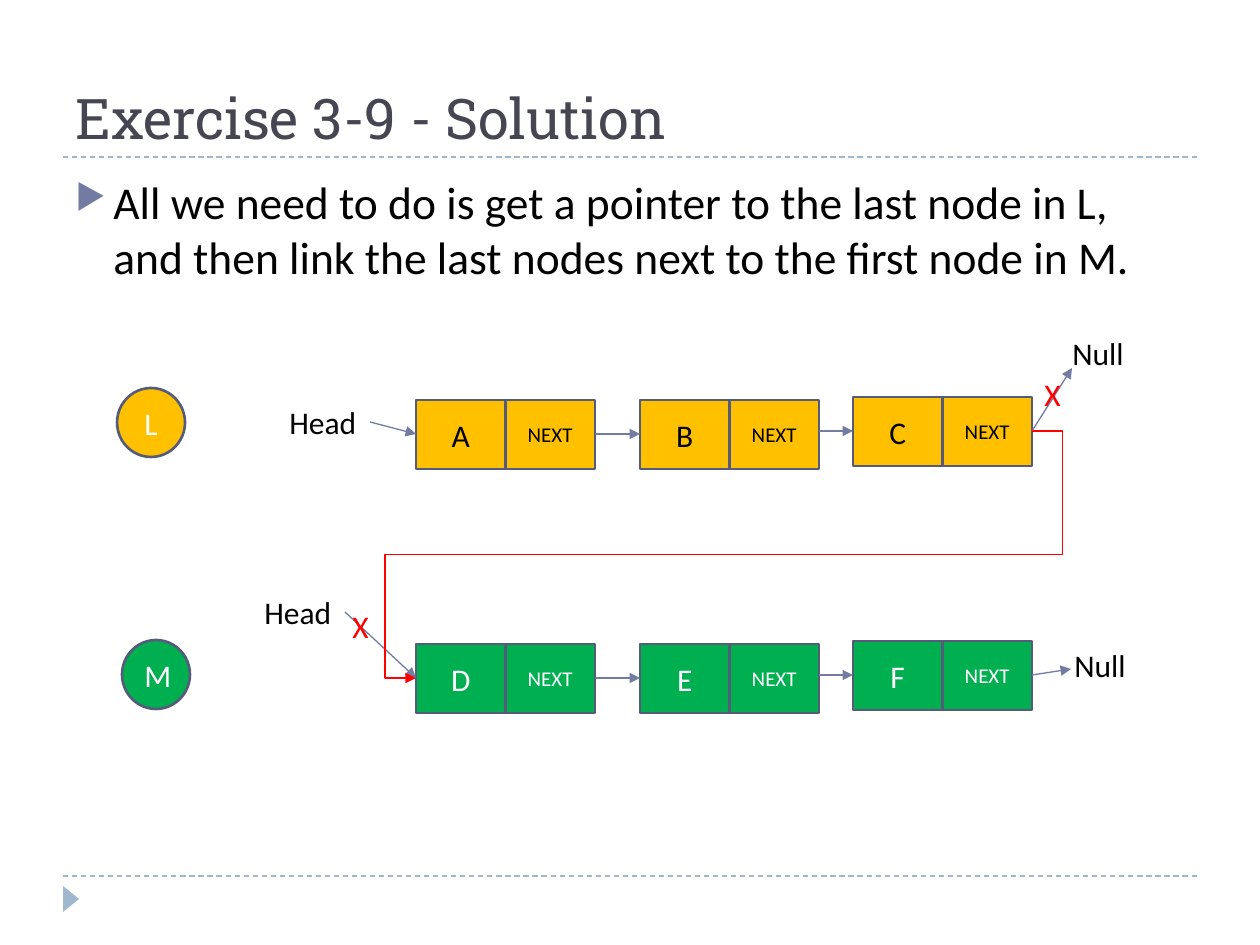
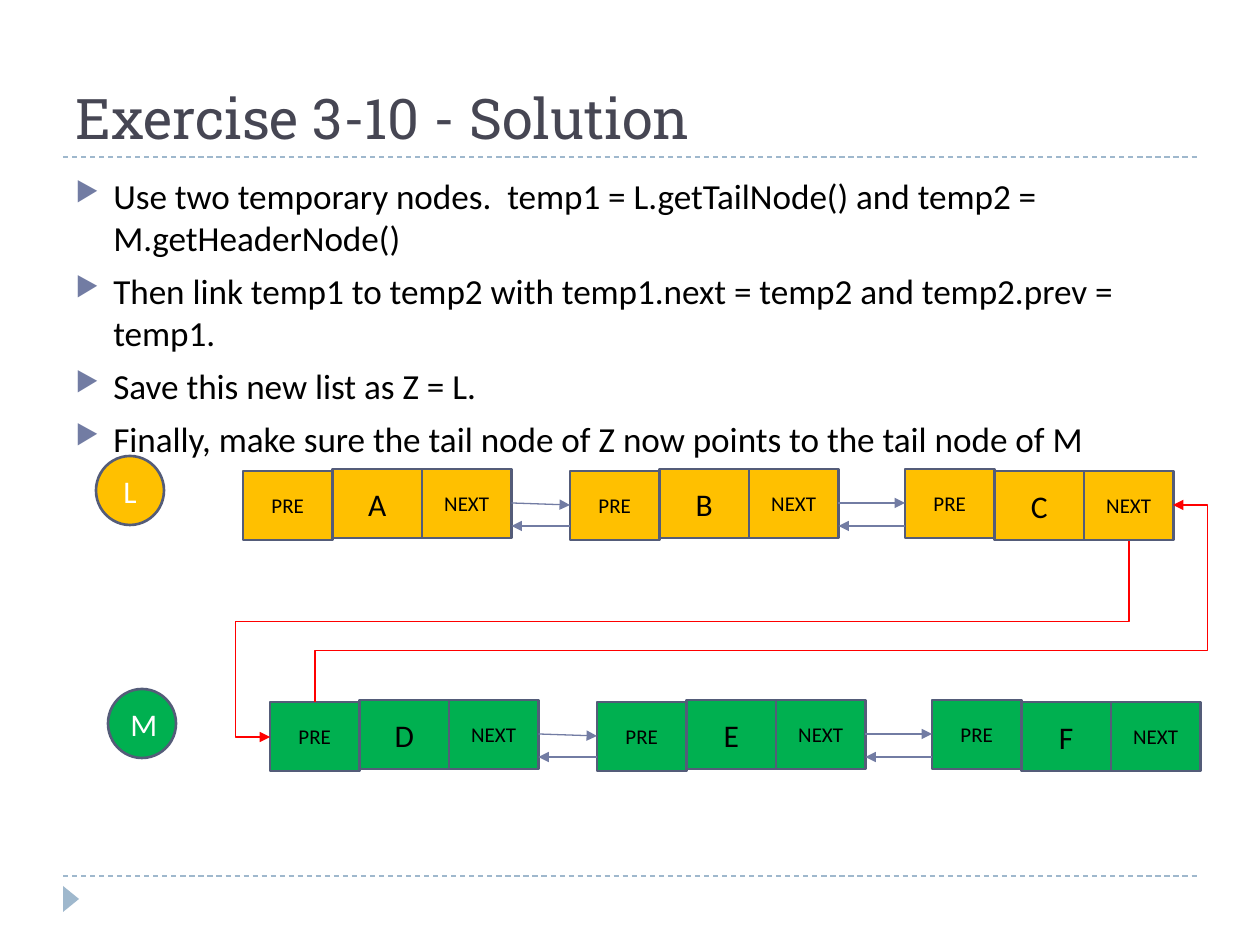
import pptx
import pptx.dml.color
import pptx.enum.dml
import pptx.enum.shapes
import pptx.enum.text
import pptx.oxml
import pptx.oxml.ns
import pptx.util

RGB = pptx.dml.color.RGBColor
SHAPE = pptx.enum.shapes.MSO_SHAPE
CONNECTOR = pptx.enum.shapes.MSO_CONNECTOR
ANCHOR = pptx.enum.text.MSO_ANCHOR
ALIGN = pptx.enum.text.PP_ALIGN

BLACK = RGB(0x00, 0x00, 0x00)
WHITE = RGB(0xFF, 0xFF, 0xFF)
TITLE_INK = RGB(0x46, 0x46, 0x53)
PALE_BLUE = RGB(0x9F, 0xB8, 0xCD)
ARROW_BLUE = RGB(0x72, 0x7C, 0xA3)
OUTLINE = RGB(0x54, 0x5C, 0x79)
AMBER = RGB(0xFF, 0xC0, 0x00)
GREEN = RGB(0x00, 0xB0, 0x50)
RED = RGB(0xFF, 0x00, 0x00)

BODY_FONT = "Calibri"
TITLE_FONT = "Roboto Slab"
SCALE = 914400 / 126
CELL_WIDTH, CELL_HEIGHT = 89.5, 69
MIDDLE = 34
BACK_LINK = 57


def px(length):
    return pptx.util.Emu(round(length * SCALE))


def write_text(shape, *lines, size=18, font=BODY_FONT, color=BLACK, align=ALIGN.LEFT,
               anchor=ANCHOR.TOP, wrap=True, bullet=False):
    frame = shape.text_frame
    frame.word_wrap = wrap
    frame.vertical_anchor = anchor
    for index, line in enumerate(lines):
        para = frame.paragraphs[0] if index == 0 else frame.add_paragraph()
        para.alignment = align
        span = para.add_run()
        span.text = line
        span.font.size = pptx.util.Pt(size)
        span.font.name = font
        span.font.color.rgb = color
        if bullet:
            add_bullet(para)


def add_bullet(para):
    para.space_before = pptx.util.Pt(6)
    properties = para._p.get_or_add_pPr()
    properties.set("marL", str(px(38)))
    properties.set("indent", str(px(-38)))
    namespace = pptx.oxml.ns.nsdecls("a")
    for markup in (f'<a:buClr {namespace}><a:srgbClr val="{ARROW_BLUE}"/></a:buClr>',
                   f'<a:buSzPct {namespace} val="76000"/>',
                   f'<a:buChar {namespace} char="▶"/>'):
        properties.append(pptx.oxml.parse_xml(markup))


def add_text(page, box, *lines, **text_format):
    shape = page.shapes.add_textbox(*map(px, box))
    write_text(shape, *lines, **text_format)


def add_label(page, left, top, width, text, color=BLACK):
    add_text(page, (left, top, width, 50), text, color=color, wrap=False)


def add_filled(page, kind, box, fill):
    shape = page.shapes.add_shape(kind, *map(px, box))
    shape.shadow.inherit = False
    shape.fill.solid()
    shape.fill.fore_color.rgb = fill
    shape.line.fill.background()
    return shape


def add_block(page, kind, box, text, fill, **text_format):
    shape = add_filled(page, kind, box, fill)
    shape.line.color.rgb = OUTLINE
    shape.line.width = pptx.util.Pt(1.5)
    write_text(shape, text, align=ALIGN.CENTER, anchor=ANCHOR.MIDDLE, **text_format)


def add_badge(page, left, top, text, fill):
    add_block(page, SHAPE.OVAL, (left, top, 68, 69), text, fill, color=WHITE)


def add_line(page, start, end, color, kind=CONNECTOR.STRAIGHT, arrow=True):
    line = page.shapes.add_connector(kind, *map(px, start + end))
    line.line.color.rgb = color
    line.line.width = pptx.util.Pt(0.75)
    properties = line.element.spPr
    if arrow:
        head = pptx.oxml.ns.qn("a:tailEnd")
        outline = line.line._get_or_add_ln()
        outline.append(outline.makeelement(head, {"type": "triangle"}))
    effects = pptx.oxml.ns.qn("a:effectLst")
    properties.append(properties.makeelement(effects, {}))
    return line


def add_elbow(page, start, end, bends, upright=False):
    """Red bent arrow; bends are the preset's adjust values, upright leaves vertically."""
    if upright:
        across, down = end[0] - start[0], end[1] - start[1]
        middle_x, middle_y = (start[0] + end[0]) / 2, (start[1] + end[1]) / 2
        start = (middle_x - down / 2, middle_y + across / 2)
        end = (middle_x + down / 2, middle_y - across / 2)
    line = add_line(page, start, end, RED, CONNECTOR.ELBOW)
    properties = line.element.spPr
    if upright:
        properties.find(pptx.oxml.ns.qn("a:xfrm")).set("rot", "5400000")
    geometry = properties.find(pptx.oxml.ns.qn("a:prstGeom"))
    geometry.set("prst", f"bentConnector{len(bends) + 2}")
    guides = geometry.find(pptx.oxml.ns.qn("a:avLst"))
    for index, bend in enumerate(bends, 1):
        guides.append(guides.makeelement(pptx.oxml.ns.qn("a:gd"), {
            "name": f"adj{index}", "fmla": f"val {round(bend * 100000)}"}))


def add_cells(page, left, top, texts, fill, color):
    for index, text in enumerate(texts):
        box = (left + index * CELL_WIDTH, top, CELL_WIDTH, CELL_HEIGHT)
        add_block(page, SHAPE.RECTANGLE, box, text, fill, color=color,
                  size=18 if len(text) == 1 else 12)


def add_single_list(page, left, top, letters, fill, color, head, null, null_tip):
    """Row of singly linked nodes; head, null and null_tip are offsets from its corner."""
    offsets, drops = (0, 224, 437), (3, 3, 0)
    for letter, offset, drop in zip(letters, offsets, drops):
        add_cells(page, left + offset, top + drop, (letter, "NEXT"), fill, color)
    for index, drop in enumerate((3, 0)):
        level = top + drop + MIDDLE
        add_line(page, (left + offsets[index] + 2 * CELL_WIDTH, level),
                 (left + offsets[index + 1], level), ARROW_BLUE)
    head_left, head_top = left + head[0], top + head[1]
    add_label(page, head_left, head_top, 93, "Head")
    add_line(page, (head_left + 93, head_top + 25), (left, top + 3 + MIDDLE), ARROW_BLUE)
    add_label(page, left + null[0], top + null[1], 81, "Null")
    add_line(page, (left + offsets[-1] + 2 * CELL_WIDTH, top + MIDDLE),
             (left + null_tip[0], top + null_tip[1]), ARROW_BLUE)


def add_double_list(page, left, top, letters, fill):
    offsets, pre_drops, drops = (0, 327, 662), (2, 2, 0), (0, 0, 2)
    for letter, offset, pre_drop, drop in zip(letters, offsets, pre_drops, drops):
        add_cells(page, left + offset + CELL_WIDTH, top + drop, (letter, "NEXT"), fill, BLACK)
        add_cells(page, left + offset, top + pre_drop, ("PRE",), fill, BLACK)
    for index in (0, 1):
        near = left + offsets[index] + 3 * CELL_WIDTH
        far = left + offsets[index + 1]
        add_line(page, (near, top + MIDDLE), (far, top + MIDDLE + pre_drops[index + 1]),
                 ARROW_BLUE)
        add_line(page, (far, top + BACK_LINK), (near, top + BACK_LINK), ARROW_BLUE)


def add_page(deck, title, body_height, body_size, *points):
    """Blank page with the shared rules, footer mark, title and bulleted body."""
    page = deck.slides.add_slide(deck.slide_layouts[6])
    for level in (876, 157):
        rule = add_line(page, (63, level), (1197, level), PALE_BLUE, arrow=False)
        rule.line.dash_style = pptx.enum.dml.MSO_LINE.DASH
    mark = add_filled(page, SHAPE.ISOSCELES_TRIANGLE, (58, 891, 26, 16), PALE_BLUE)
    mark.rotation = 90
    add_text(page, (63, 21, 1134, 136), title, size=32, font=TITLE_FONT,
             color=TITLE_INK, anchor=ANCHOR.BOTTOM)
    add_text(page, (63, 168, 1134, body_height), *points, size=body_size, bullet=True)
    return page


def build_single_list_page(deck):
    page = add_page(deck, "Exercise 3-9 - Solution", 136, 26,
                    "All we need to do is get a pointer to the last node in L, "
                    "and then link the last nodes next to the first node in M.")
    add_single_list(page, 416, 397, "ABC", AMBER, BLACK,
                    head=(-139, 0), null=(644, -69), null_tip=(656, -29))
    add_single_list(page, 416, 641, "DEF", GREEN, WHITE,
                    head=(-164, -54), null=(646, -1), null_tip=(655, 28))
    add_badge(page, 117, 388, "L", AMBER)
    add_badge(page, 122, 640, "M", GREEN)
    add_elbow(page, (1032, 431), (416, 678), (-0.05, 0.5, 1.05))
    for left, top in ((340, 601), (1032, 369)):
        add_label(page, left, top, 48, "X", color=RED)


def build_double_list_page(deck):
    page = add_page(deck, "Exercise 3-10 - Solution", 285, 20.1,
                    "Use two temporary nodes.  temp1 = L.getTailNode() and "
                    "temp2 = M.getHeaderNode()",
                    "Then link temp1 to temp2 with temp1.next = temp2 and temp2.prev = temp1.",
                    "Save this new list as Z = L.",
                    "Finally, make sure the tail node of Z now points to the tail node of M")
    add_double_list(page, 243, 469, "ABC", AMBER)
    add_double_list(page, 270, 700, "DEF", GREEN)
    add_badge(page, 96, 456, "L", AMBER)
    add_badge(page, 108, 689, "M", GREEN)
    add_elbow(page, (1129, 541), (270, 737), (0.41, 1.04), upright=True)
    add_elbow(page, (315, 702), (1173, 505), (0.26, 1.04), upright=True)


def main():
    deck = pptx.Presentation()
    deck.slide_width, deck.slide_height = px(1260), px(945)
    build_single_list_page(deck)
    build_double_list_page(deck)
    deck.save("out.pptx")


if __name__ == "__main__":
    main()
